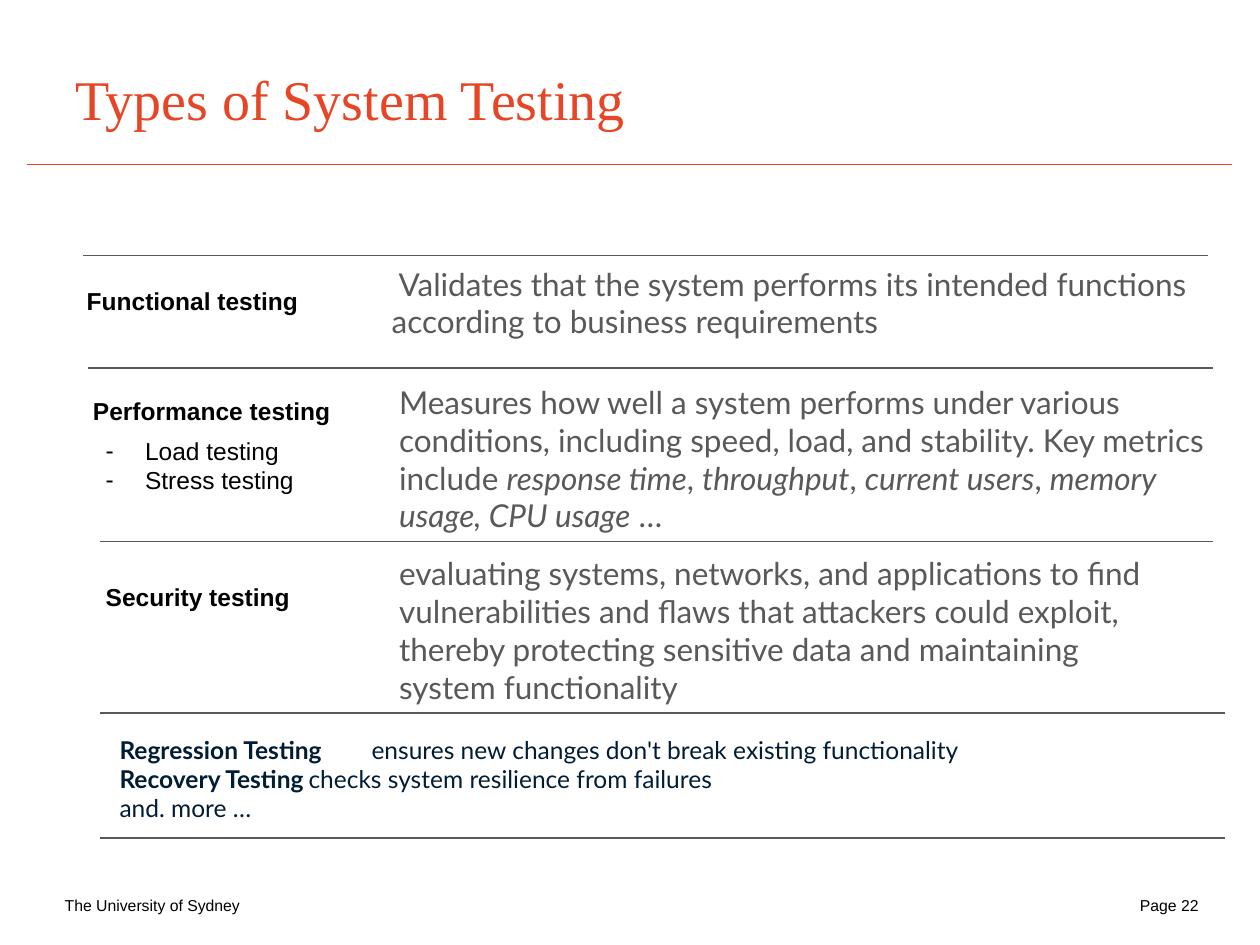
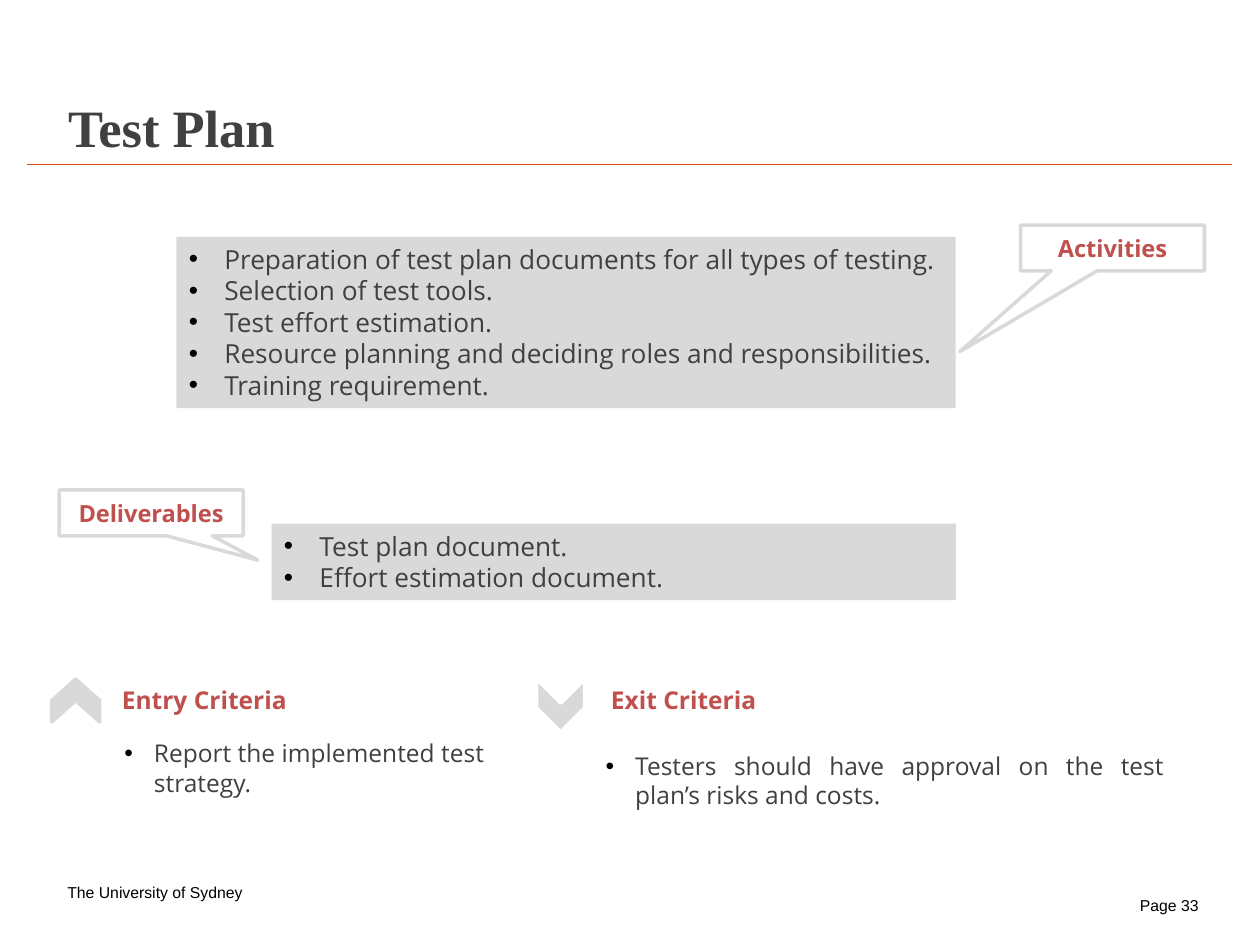
from dataclasses import dataclass
from typing import NamedTuple

from lxml.etree import SubElement
from pptx import Presentation
from pptx.dml.color import RGBColor
from pptx.enum.shapes import MSO_CONNECTOR, MSO_SHAPE
from pptx.enum.text import MSO_ANCHOR as ANCHOR, PP_ALIGN as ALIGN
from pptx.oxml.ns import qn
from pptx.util import Pt

COLORS = {
    "accent": "E64625", "black": "000000", "body": "595959", "dark": "404040",
    "navy": "001D35", "heading": "C0504D", "panel": "D9D9D9", "white": "FFFFFF",
}


class Style(NamedTuple):
    font: str
    size: float
    color: str
    bold: bool = False


class Run(NamedTuple):
    text: str
    italic: bool = False
    bold: bool = False


class Area(NamedTuple):
    x: float
    y: float
    w: float
    h: float


@dataclass
class Layout:
    bullet: str = ""
    hang: float = 0
    first: float = 0
    tab: float = 0
    align: ALIGN = ALIGN.LEFT
    spacing: float = 1.0
    insets: tuple[float, float] = (7.2, 3.6)
    anchor: ANCHOR = ANCHOR.TOP


@dataclass
class TestType:
    label: str
    label_area: Area
    text: list[Run]
    text_area: Area
    first: float = 0


@dataclass
class Callout:
    label: str
    area: Area
    tip: tuple[float, float]
    panel: Area
    items: list[str]
    align: ALIGN


@dataclass
class Criteria:
    label: str
    label_area: Area
    text: str
    text_area: Area
    align: ALIGN
    arrow: Area
    rotation: int
    outline: str


TITLE = Style("Times New Roman", 32, "accent")
PLAN_TITLE = Style("Times New Roman", 30, "dark", True)
FOOTER = Style("Arial", 9, "black")
LABEL = Style("Arial", 14, "black", True)
SUBTYPE = Style("Arial", 14, "black")
DESCRIPTION = Style("Lato", 18, "body")
MORE = Style("Lato", 14, "navy")
PANEL_TEXT = Style("Open Sans", 15, "dark")
CRITERIA_TEXT = Style("Open Sans", 14, "dark")
CALLOUT_LABEL = Style("Open Sans", 13.5, "heading", True)
CRITERIA_LABEL = Style("Open Sans", 14, "heading", True)

TEST_TYPES = [
    TestType(
        "Functional testing", Area(42.5, 160, 147, 24.5),
        [Run("Validates that the system performs its intended functions "
             "according to business requirements")],
        Area(216.7, 147.6, 471.6, 51), first=4),
    TestType(
        "Performance testing", Area(46, 223, 165, 24.5),
        [Run("Measures how well a system performs under various conditions, "
             "including speed, load, and stability. Key metrics include "),
         Run("response time", True), Run(", "), Run("throughput", True), Run(", "),
         Run("current users", True), Run(", "),
         Run("memory usage, CPU usage", True), Run(" …")],
        Area(221, 215.3, 478.8, 94.3)),
    TestType(
        "Security testing", Area(53.3, 329, 134, 24.5),
        [Run("evaluating systems, networks, and applications to find "
             "vulnerabilities and flaws that attackers could exploit, thereby "
             "protecting sensitive data and maintaining system functionality")],
        Area(221, 313.2, 458.6, 94.3)),
]
RULES = [(47.5, 690.5, 146), (50.4, 693.4, 210.3), (56.9, 693.4, 309.6),
         (56.9, 699.8, 407.5), (56.9, 699.8, 478.8)]

CALLOUTS = [
    Callout(
        "Activities", Area(583.2, 128.6, 105.1, 26.2), (-0.83, 2.26),
        Area(100.8, 135.4, 445.3, 97.9),
        ["Preparation of test plan documents for all types of testing.",
         "Selection of test tools.", "Test effort estimation.",
         "Resource planning and deciding roles and responsibilities.",
         "Training requirement."], ALIGN.LEFT),
    Callout(
        "Deliverables", Area(33.8, 280, 105.1, 26.2), (0.58, 1.03),
        Area(155.2, 299.3, 391, 43.7),
        ["Test plan document.", "Effort estimation document."], ALIGN.JUSTIFY),
]
CRITERIA = [
    Criteria("Entry Criteria", Area(62.6, 388, 117, 24.5),
             "Report the implemented test strategy.", Area(64, 418.3, 239, 41),
             ALIGN.LEFT, Area(31, 386.6, 24.5, 27.4), 270, "panel"),
    Criteria("Exit Criteria", Area(342, 388, 120, 24.5),
             "Testers should have approval on the test plan’s risks and costs.",
             Area(339, 425.5, 333.4, 41),
             ALIGN.JUSTIFY, Area(305.3, 389.5, 30.2, 27.4), 90, "white"),
]


def rgb(name: str) -> RGBColor:
    return RGBColor.from_string(COLORS[name])


def format_paragraph(p, layout: Layout) -> None:
    p.alignment = layout.align
    if layout.spacing != 1:
        p.line_spacing = layout.spacing
    pPr = p._p.get_or_add_pPr()
    pPr.set("marL", str(Pt(layout.hang)))
    pPr.set("indent", str(Pt(layout.first - layout.hang)))
    if layout.bullet:
        color = SubElement(pPr, qn("a:buClr"))
        SubElement(color, qn("a:srgbClr"), val=COLORS["black"])
        SubElement(pPr, qn("a:buFont"), typeface="Arial")
        SubElement(pPr, qn("a:buChar"), char=layout.bullet)
    if layout.tab:
        tabs = SubElement(pPr, qn("a:tabLst"))
        SubElement(tabs, qn("a:tab"), pos=str(Pt(layout.tab)), algn="l")


def write(sp, paragraphs: list[list[Run]], style: Style, layout: Layout) -> None:
    tf = sp.text_frame
    tf.word_wrap = True
    tf.vertical_anchor = layout.anchor
    tf.margin_left = tf.margin_right = Pt(layout.insets[0])
    tf.margin_top = tf.margin_bottom = Pt(layout.insets[1])
    for i, runs in enumerate(paragraphs):
        p = tf.add_paragraph() if i else tf.paragraphs[0]
        format_paragraph(p, layout)
        for run in runs:
            r = p.add_run()
            r.text = run.text
            r.font.name = style.font
            r.font.size = Pt(style.size)
            r.font.bold = style.bold or run.bold
            r.font.italic = run.italic
            r.font.color.rgb = rgb(style.color)


def lines(*texts: str) -> list[list[Run]]:
    """One single-run paragraph per text."""
    return [[Run(text)] for text in texts]


def add_text(slide, area: Area, paragraphs: list[list[Run]], style: Style,
             layout: Layout = Layout()) -> None:
    write(slide.shapes.add_textbox(*map(Pt, area)), paragraphs, style, layout)


def add_block(slide, kind: MSO_SHAPE, area: Area, fill: str, outline: str = ""):
    sp = slide.shapes.add_shape(kind, *map(Pt, area))
    sp.shadow.inherit = False
    sp.fill.solid()
    sp.fill.fore_color.rgb = rgb(fill)
    if outline:
        sp.line.color.rgb = rgb(outline)
        sp.line.width = Pt(2)
    else:
        sp.line.fill.background()
    return sp


def add_rule(slide, x1: float, x2: float, y: float, color: str) -> None:
    line = slide.shapes.add_connector(
        MSO_CONNECTOR.STRAIGHT, Pt(x1), Pt(y), Pt(x2), Pt(y))
    line.line.color.rgb = rgb(color)
    line.line.width = Pt(0.75)
    SubElement(line._element.spPr, qn("a:effectLst"))


def add_slide(prs, page: int, footer_x: float, footer_y: float):
    """Blank slide with the title rule, footer and page number."""
    slide = prs.slides.add_slide(prs.slide_layouts[6])
    add_rule(slide, 15.4, 704, 94, "accent")
    layout = Layout(spacing=1.17, insets=(0, 0))
    add_text(slide, Area(footer_x, footer_y, 118, 11),
             lines("The University of Sydney"), FOOTER, layout)
    add_text(slide, Area(651.4, 509.8, 40, 11), lines(f"Page {page}"), FOOTER, layout)
    return slide


def build_test_types(prs) -> None:
    slide = add_slide(prs, 22, 37, 509.8)
    add_text(slide, Area(43, 36, 440, 41), lines("Types of System Testing"),
             TITLE, Layout(insets=(0, 1)))
    for kind in TEST_TYPES:
        add_text(slide, kind.label_area, lines(kind.label), LABEL)
        add_text(slide, kind.text_area, [kind.text], DESCRIPTION,
                 Layout(first=kind.first))
    add_text(slide, Area(53.3, 245.5, 134, 41), lines("Load testing", "Stress testing"),
             SUBTYPE, Layout(bullet="-", hang=22.5))
    for x1, x2, y in RULES:
        add_rule(slide, x1, x2, y, "body")
    more = [
        [Run("Regression Testing", bold=True),
         Run("\tensures new changes don't break existing functionality")],
        [Run("Recovery Testing", bold=True),
         Run("\tchecks system resilience from failures")],
        [Run("and. more …")],
    ]
    add_text(slide, Area(61.2, 416.2, 589.7, 58.3), more, MORE, Layout(tab=169.5))


def build_test_plan(prs) -> None:
    slide = add_slide(prs, 33, 38.5, 502.5)
    add_text(slide, Area(34, 52, 148, 41), lines("Test Plan"), PLAN_TITLE,
             Layout(insets=(5, 2.5)))
    for callout in CALLOUTS:
        panel = add_block(slide, MSO_SHAPE.RECTANGLE, callout.panel, "panel")
        write(panel, lines(*callout.items), PANEL_TEXT,
              Layout(bullet="•", hang=20.3, align=callout.align))
        sp = add_block(slide, MSO_SHAPE.RECTANGULAR_CALLOUT, callout.area,
                       "white", "panel")
        for i, offset in enumerate(callout.tip):
            sp.adjustments[i] = offset
        write(sp, lines(callout.label), CALLOUT_LABEL,
              Layout(align=ALIGN.CENTER, anchor=ANCHOR.MIDDLE))
    for item in CRITERIA:
        arrow = add_block(slide, MSO_SHAPE.CHEVRON, item.arrow, "panel", item.outline)
        arrow.rotation = item.rotation
        add_text(slide, item.label_area, lines(item.label), CRITERIA_LABEL)
        add_text(slide, item.text_area, lines(item.text), CRITERIA_TEXT,
                 Layout(bullet="•", hang=16.9, align=item.align))


def main() -> None:
    prs = Presentation()
    prs.slide_width, prs.slide_height = Pt(720), Pt(540)
    build_test_types(prs)
    build_test_plan(prs)
    prs.save("out.pptx")


if __name__ == "__main__":
    main()
